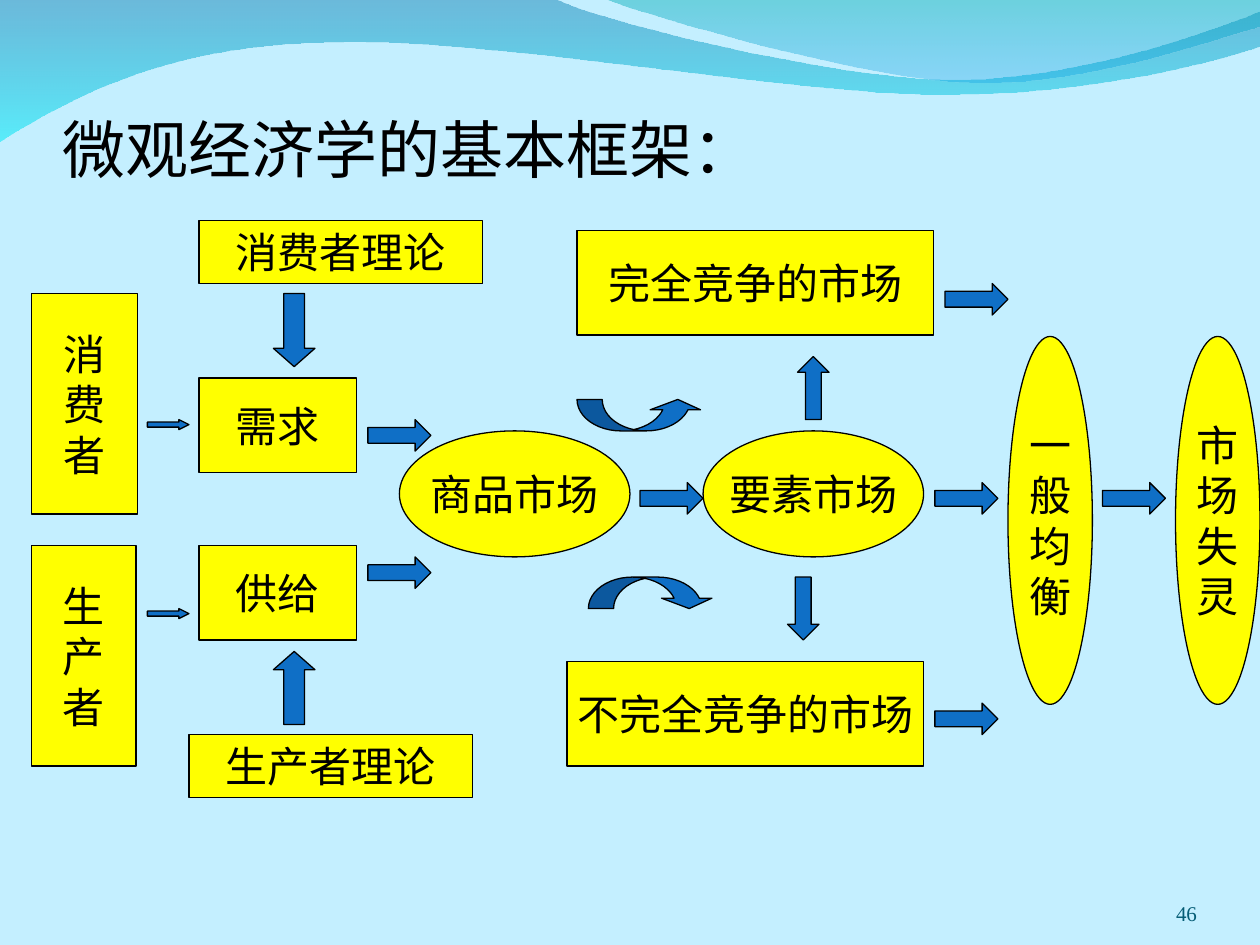
from lxml.etree import SubElement
from pptx import Presentation
from pptx.dml.color import RGBColor
from pptx.enum.shapes import MSO_SHAPE as SHAPE
from pptx.enum.text import MSO_ANCHOR as ANCHOR, PP_ALIGN as ALIGN
from pptx.oxml.ns import qn
from pptx.util import Inches, Pt

SKY = RGBColor(0xC4, 0xEF, 0xFF)
YELLOW = RGBColor(0xFF, 0xFF, 0x00)
BLUE = RGBColor(0x0F, 0x6F, 0xC6)
BLACK = RGBColor(0, 0, 0)
TEAL = RGBColor(0x04, 0x5C, 0x75)
SERIF = "Times New Roman"

# Waves: start, segments (2 numbers = line, 6 = Bezier curve), (colour, opacity %) stops
WAVES = [
    ((0, -0.01),
     [(4.4, -0.01), (4.76, 0.17, 6.64, 0.63, 7.58, 0.63),
      (8.53, 0.63, 9.58, 0.26, 10, 0.09), (10.01, 0.36),
      (9.83, 0.44, 8.7, 0.76, 7.46, 0.75), (6.22, 0.75, 3.82, 0.28, 2.57, 0.34),
      (1.29, 0.35, 0.46, 0.83, -0.01, 1.13)],
     [(RGBColor(0x00, 0x79, 0xAF), 45), (RGBColor(0x00, 0xEB, 0xF8), 55)]),
    ((4.79, -0.01),
     [(5.09, 0.11, 6.82, 0.62, 7.69, 0.65), (8.56, 0.69, 9.61, 0.32, 10, 0.21),
      (10, 0)],
     [(RGBColor(0x00, 0xAD, 0xB6), 45), (RGBColor(0x00, 0x9B, 0xE5), 30)]),
]

# Concepts: lines of text, shape, left, top, width, height
CONCEPTS = [
    (["供给"], SHAPE.RECTANGLE, 1.58, 4.33, 1.25, 0.75),
    (["需求"], SHAPE.RECTANGLE, 1.58, 3, 1.25, 0.75),
    (["商品市场"], SHAPE.OVAL, 3.17, 3.42, 1.83, 1),
    (list("消费者"), SHAPE.RECTANGLE, 0.25, 2.33, 0.84, 1.75),
    (list("生产者"), SHAPE.RECTANGLE, 0.25, 4.33, 0.83, 1.75),
    (["完全竞争的市场"], SHAPE.RECTANGLE, 4.58, 1.83, 2.83, 0.83),
    (["不完全竞争的市场"], SHAPE.RECTANGLE, 4.5, 5.25, 2.83, 0.83),
    (["消费者理论"], SHAPE.RECTANGLE, 1.58, 1.75, 2.25, 0.5),
    (["生产者理论"], SHAPE.RECTANGLE, 1.5, 5.83, 2.25, 0.5),
    (list("市场失灵"), SHAPE.OVAL, 9.33, 2.67, 0.67, 2.92),
    (["要素市场"], SHAPE.OVAL, 5.58, 3.42, 1.75, 1),
    (list("一般均衡"), SHAPE.OVAL, 8, 2.67, 0.67, 2.92),
]

# Arrows: shape, size, adjustments, top-left corners
ARROWS = [
    (SHAPE.RIGHT_ARROW, (0.33, 0.08), (0.5, 1), [(1.17, 3.33), (1.17, 4.83)]),
    (SHAPE.RIGHT_ARROW, (0.5, 0.25), (0.5, 0.5),
     [(2.92, 3.33), (2.92, 4.42), (7.5, 2.25), (7.42, 5.58),
      (5.08, 3.83), (7.42, 3.83), (8.75, 3.83)]),
    (SHAPE.DOWN_ARROW, (0.33, 0.58), (0.5, 0.44), [(2.17, 2.33)]),
    (SHAPE.UP_ARROW, (0.33, 0.58), (0.5, 0.44), [(2.17, 5.17)]),
    (SHAPE.UP_ARROW, (0.25, 0.5), (0.5, 0.5), [(6.33, 2.83)]),
    (SHAPE.DOWN_ARROW, (0.25, 0.5), (0.5, 0.5), [(6.25, 4.58)]),
    (SHAPE.CURVED_UP_ARROW, (1, 0.25), (0.8, 1.6, 0.33), [(4.58, 3.17)]),
    (SHAPE.CURVED_DOWN_ARROW, (1, 0.25), (0.8, 1.6, 0.33), [(4.67, 4.58)]),
]


def outline(start, segments, steps=24):
    """Turn lines and Bezier curves into a list of points."""
    points = [start]
    for seg in segments:
        if len(seg) == 2:
            points.append(seg)
            continue
        ctrl = [points[-1], seg[:2], seg[2:4], seg[4:]]
        for i in range(1, steps + 1):
            t = i / steps
            weights = ((1 - t) ** 3, 3 * t * (1 - t) ** 2, 3 * t * t * (1 - t), t ** 3)
            points.append(tuple(sum(w * c[axis] for w, c in zip(weights, ctrl))
                                for axis in (0, 1)))
    return [(Inches(x), Inches(y)) for x, y in points]


def add_wave(shapes, start, segments, stops):
    first, *rest = outline(start, segments)
    builder = shapes.build_freeform(*first)
    builder.add_line_segments(rest)
    sp = builder.convert_to_shape()
    sp.shadow.inherit = False
    sp.line.fill.background()
    sp.fill.gradient()
    sp.fill.gradient_angle = 270
    for stop, (colour, _) in zip(sp.fill.gradient_stops, stops):
        stop.color.rgb = colour
    for clr, (_, opacity) in zip(sp._element.spPr.iter(qn("a:srgbClr")), stops):
        SubElement(clr, qn("a:alpha"), val=str(opacity * 1000))


def add_shape(shapes, kind, box, fill):
    sp = shapes.add_shape(kind, *map(Inches, box))
    sp.shadow.inherit = False
    sp.fill.solid()
    sp.fill.fore_color.rgb = fill
    sp.line.color.rgb = BLACK
    sp.line.width = Pt(0.75)
    return sp


def write(tf, lines, size, font, colour, align, anchor, wrap):
    tf.word_wrap = wrap
    tf.vertical_anchor = anchor
    for i, line in enumerate(lines):
        p = tf.add_paragraph() if i else tf.paragraphs[0]
        p.alignment = align
        r = p.add_run()
        r.text = line
        r.font.size = Pt(size)
        r.font.name = font
        r.font.color.rgb = colour


def add_label(shapes, text, box, top_inset, *style):
    tf = shapes.add_textbox(*map(Inches, box)).text_frame
    tf.margin_left = tf.margin_right = tf.margin_bottom = 0
    tf.margin_top = Inches(top_inset)
    write(tf, [text], *style, ANCHOR.BOTTOM, True)


def main():
    prs = Presentation()
    prs.slide_width, prs.slide_height = Inches(10), Inches(7.5)
    s = prs.slides.add_slide(prs.slide_layouts[6])
    s.background.fill.solid()
    s.background.fill.fore_color.rgb = SKY

    # Decoration and title
    for wave in WAVES:
        add_wave(s.shapes, *wave)
    add_label(s.shapes, "微观经济学的基本框架：", (0.5, 0.73, 8.5, 0.75), 0.05,
              36, "Calibri", BLACK, ALIGN.LEFT)

    # Framework diagram
    for lines, kind, *box in CONCEPTS:
        sp = add_shape(s.shapes, kind, box, YELLOW)
        write(sp.text_frame, lines, 24, SERIF, BLACK, ALIGN.CENTER, ANCHOR.MIDDLE, False)
    for kind, size, adjustments, corners in ARROWS:
        for corner in corners:
            sp = add_shape(s.shapes, kind, corner + size, BLUE)
            for i, value in enumerate(adjustments):
                sp.adjustments[i] = value

    # Slide number
    add_label(s.shapes, "46", (8.67, 6.95, 0.83, 0.4), 0, 12, SERIF, TEAL, ALIGN.RIGHT)
    prs.save("out.pptx")


if __name__ == "__main__":
    main()
